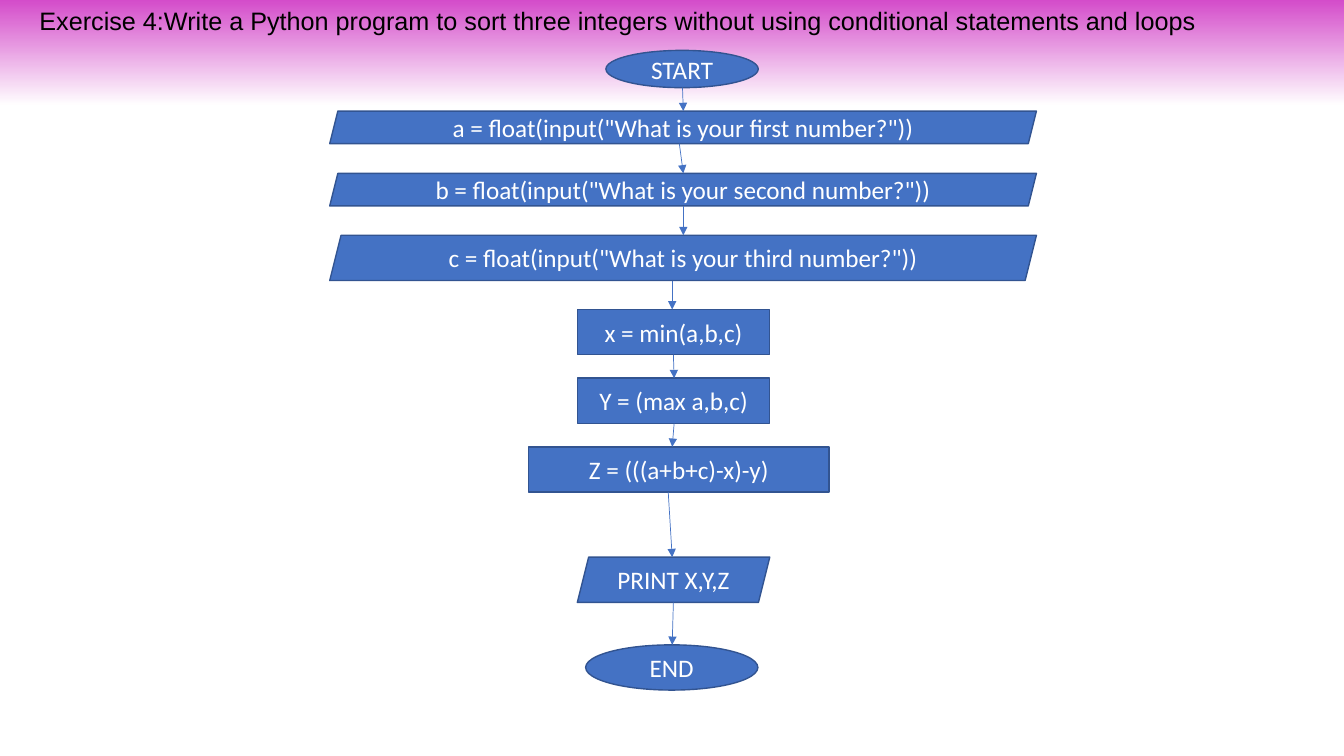
from copy import deepcopy

from lxml import etree
from pptx import Presentation
from pptx.dml.color import RGBColor
from pptx.enum.shapes import MSO_CONNECTOR, MSO_SHAPE
from pptx.enum.text import MSO_ANCHOR, MSO_AUTO_SIZE, PP_ALIGN
from pptx.oxml.ns import qn
from pptx.util import Cm, Pt

OVAL, RECT, INPUT = MSO_SHAPE.OVAL, MSO_SHAPE.RECTANGLE, MSO_SHAPE.PARALLELOGRAM
STRAIGHT = MSO_CONNECTOR.STRAIGHT
MIDDLE, LEFT, CENTER = MSO_ANCHOR.MIDDLE, PP_ALIGN.LEFT, PP_ALIGN.CENTER

COLORS = {name: RGBColor.from_string(code) for name, code in {
    "magenta": "D44CCA", "white": "FFFFFF", "black": "000000",
    "blue": "4472C4", "outline": "325491"}.items()}


def write(sp, text, align, font, color):
    """Put one line of 18 pt text in the vertical middle of a shape."""
    tf = sp.text_frame
    for key, value in {"word_wrap": True, "vertical_anchor": MIDDLE,
                       "auto_size": MSO_AUTO_SIZE.NONE}.items():
        setattr(tf, key, value)
    p = tf.paragraphs[0]
    p.alignment = align
    r = p.add_run()
    r.text = text
    for key, value in {"name": font, "size": Pt(18)}.items():
        setattr(r.font, key, value)
    r.font.color.rgb = COLORS[color]


prs = Presentation()
prs.slide_width, prs.slide_height = Cm(33.87), Cm(19.05)
slide = prs.slides.add_slide(prs.slide_layouts[5])

# Background: magenta fading to white at the top
fill = slide.background.fill
fill.gradient()
fill.gradient_angle = 270
stop_list = slide.element.find(".//" + qn("a:gsLst"))
for _ in range(2):
    stop_list.append(deepcopy(stop_list[0]))
stops = [(0, "magenta"), (0.14, "white"), (0.83, "white"), (1, "white")]
for stop, (position, color) in zip(fill.gradient_stops, stops):
    stop.position = position
    stop.color.rgb = COLORS[color]

# Title
title = slide.shapes.title
for key, value in {"left": 0.74, "top": 0.16, "width": 31.93, "height": 0.82}.items():
    setattr(title, key, Cm(value))
write(title, "Exercise 4:Write a Python program to sort three integers "
      "without using conditional statements and loops", LEFT, "Arial", "black")
title.text_frame.paragraphs[0].line_spacing = 0.9

# Flowchart steps: shape, text, left, top, width, height
steps = [
    (OVAL, "START", 15.27, 1.27, 3.84, 0.94),
    (INPUT, 'a = float(input("What is your first number?"))', 8.31, 2.8, 17.81, 0.82),
    (INPUT, 'b = float(input("What is your second number?"))', 8.31, 4.37, 17.81, 0.82),
    (INPUT, 'c = float(input("What is your third number?"))', 8.31, 5.93, 17.81, 1.14),
    (RECT, "x = min(a,b,c)", 14.55, 7.8, 4.85, 1.14),
    (RECT, "Y = (max a,b,c)", 14.55, 9.53, 4.85, 1.14),
    (RECT, "Z = (((a+b+c)-x)-y)", 13.32, 11.26, 7.57, 1.14),
    (INPUT, "PRINT X,Y,Z", 14.55, 14.04, 4.85, 1.14),
    (OVAL, "END", 14.76, 16.25, 4.34, 1.14),
]
boxes = []
for kind, text, *box in steps:
    sp = slide.shapes.add_shape(kind, *map(Cm, box))
    sp.shadow.inherit = False
    sp.fill.solid()
    sp.fill.fore_color.rgb = COLORS["blue"]
    sp.line.color.rgb = COLORS["outline"]
    sp.line.width = Pt(1)
    write(sp, text, CENTER, "Calibri", "white")
    boxes.append(sp)

# Arrows run from the bottom of each step to the top of the next
arrow_x = [(17.2, 17.22), (17.12, 17.22), (17.22, 17.22), (16.94, 16.94),
           (16.97, 16.99), (16.99, 16.94), (16.84, 16.94), (16.97, 16.94)]
for upper, lower, (x1, x2) in zip(boxes, boxes[1:], arrow_x):
    arrow = slide.shapes.add_connector(
        STRAIGHT, Cm(x1), upper.top + upper.height, Cm(x2), lower.top)
    arrow.line.color.rgb = COLORS["blue"]
    arrow.line.width = Pt(0.5)
    etree.SubElement(arrow.line._get_or_add_ln(), qn("a:tailEnd"), type="triangle")
    etree.SubElement(arrow._element.spPr, qn("a:effectLst"))

prs.save("out.pptx")
